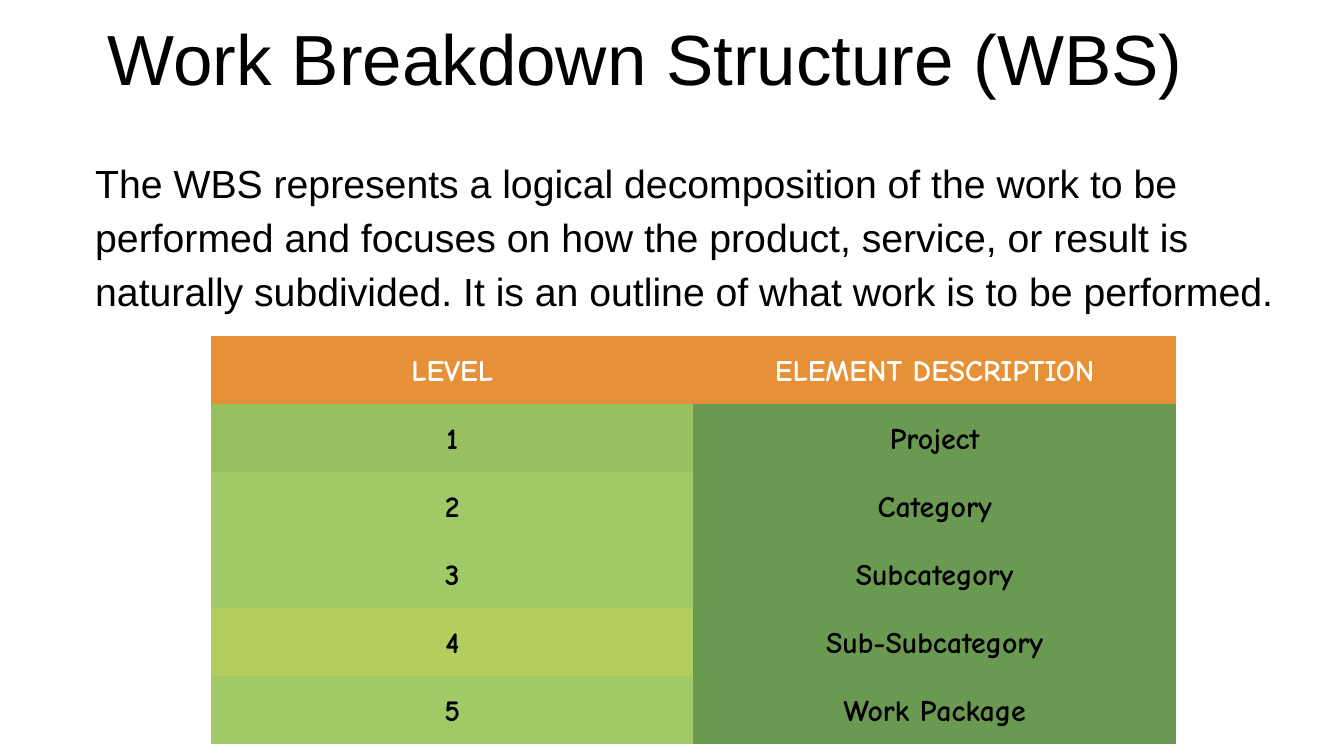
from pptx import Presentation
from pptx.dml.color import RGBColor
from pptx.enum.text import MSO_ANCHOR, PP_ALIGN
from pptx.util import Inches, Pt

COLORS = {
    "text": "000000",
    "header_text": "FFFFFF",
    "header": "E69138",
    "description": "6A9951",
    "level_dark": "97C060",
    "level": "A0CA68",
    "level_lime": "B2CE5F",
}
LEVELS = [
    ("Project", "level_dark"),
    ("Category", "level"),
    ("Subcategory", "level"),
    ("Sub-Subcategory", "level_lime"),
    ("Work Package", "level"),
]


def set_margins(text_frame):
    text_frame.margin_left = text_frame.margin_right = Inches(0.1)
    text_frame.margin_top = text_frame.margin_bottom = Inches(0.1)


def format_font(paragraph, name, size, color, bold=False):
    paragraph.font.name = name
    paragraph.font.size = Pt(size)
    paragraph.font.bold = bold
    paragraph.font.color.rgb = RGBColor.from_string(COLORS[color])


# Widescreen slide, 16 to 9
presentation = Presentation()
presentation.slide_width = Inches(10)
presentation.slide_height = Inches(10 * 9 / 16)
slide = presentation.slides.add_slide(presentation.slide_layouts[5])

# Title
title = slide.shapes.title
title.left, title.top = Inches(0.05), Inches(0)
title.width, title.height = Inches(9.51), Inches(0.84)
set_margins(title.text_frame)
title.text_frame.vertical_anchor = MSO_ANCHOR.BOTTOM
title.text_frame.text = "Work Breakdown Structure (WBS)"
paragraph = title.text_frame.paragraphs[0]
paragraph.alignment = PP_ALIGN.CENTER
format_font(paragraph, "Arial", 38, "text")

# Table of levels
rows = [("LEVEL", "ELEMENT DESCRIPTION", "header", "header")]
for number, (description, color) in enumerate(LEVELS, start=1):
    rows.append((str(number), description, color, "description"))

table = slide.shapes.add_table(
    len(rows), 2, Inches(1.57), Inches(2.5), Inches(7.18), Inches(3.04)
).table
for row_index, (level, description, *fills) in enumerate(rows):
    text_color = "header_text" if row_index == 0 else "text"
    for column_index, text in enumerate((level, description)):
        cell = table.cell(row_index, column_index)
        set_margins(cell)
        cell.fill.solid()
        cell.fill.fore_color.rgb = RGBColor.from_string(COLORS[fills[column_index]])
        cell.text = text
        paragraph = cell.text_frame.paragraphs[0]
        paragraph.alignment = PP_ALIGN.CENTER
        paragraph.line_spacing = 1.15
        format_font(paragraph, "Comic Neue", 16, text_color, bold=True)

# The table style draws white rules: replace them with no lines
for cell in table.iter_cells():
    properties = cell._tc.get_or_add_tcPr()
    for position, side in enumerate(("lnL", "lnR", "lnT", "lnB")):
        border = properties.makeelement(
            "{http://schemas.openxmlformats.org/drawingml/2006/main}" + side, {"w": "0"}
        )
        border.append(border.makeelement(
            "{http://schemas.openxmlformats.org/drawingml/2006/main}noFill", {}
        ))
        properties.insert(position, border)

# Explanation
explanation = slide.shapes.add_textbox(
    Inches(0.61), Inches(1.03), Inches(9.31), Inches(1.47)
)
set_margins(explanation.text_frame)
explanation.text_frame.word_wrap = True
explanation.text_frame.text = (
    "The WBS represents a logical decomposition of the work to be performed "
    "and focuses on how the product, service, or result is naturally "
    "subdivided. It is an outline of what work is to be performed."
)
paragraph = explanation.text_frame.paragraphs[0]
paragraph.line_spacing = 1.15
paragraph.space_before = Pt(8)
format_font(paragraph, "Arial", 21, "text")

presentation.save("out.pptx")
